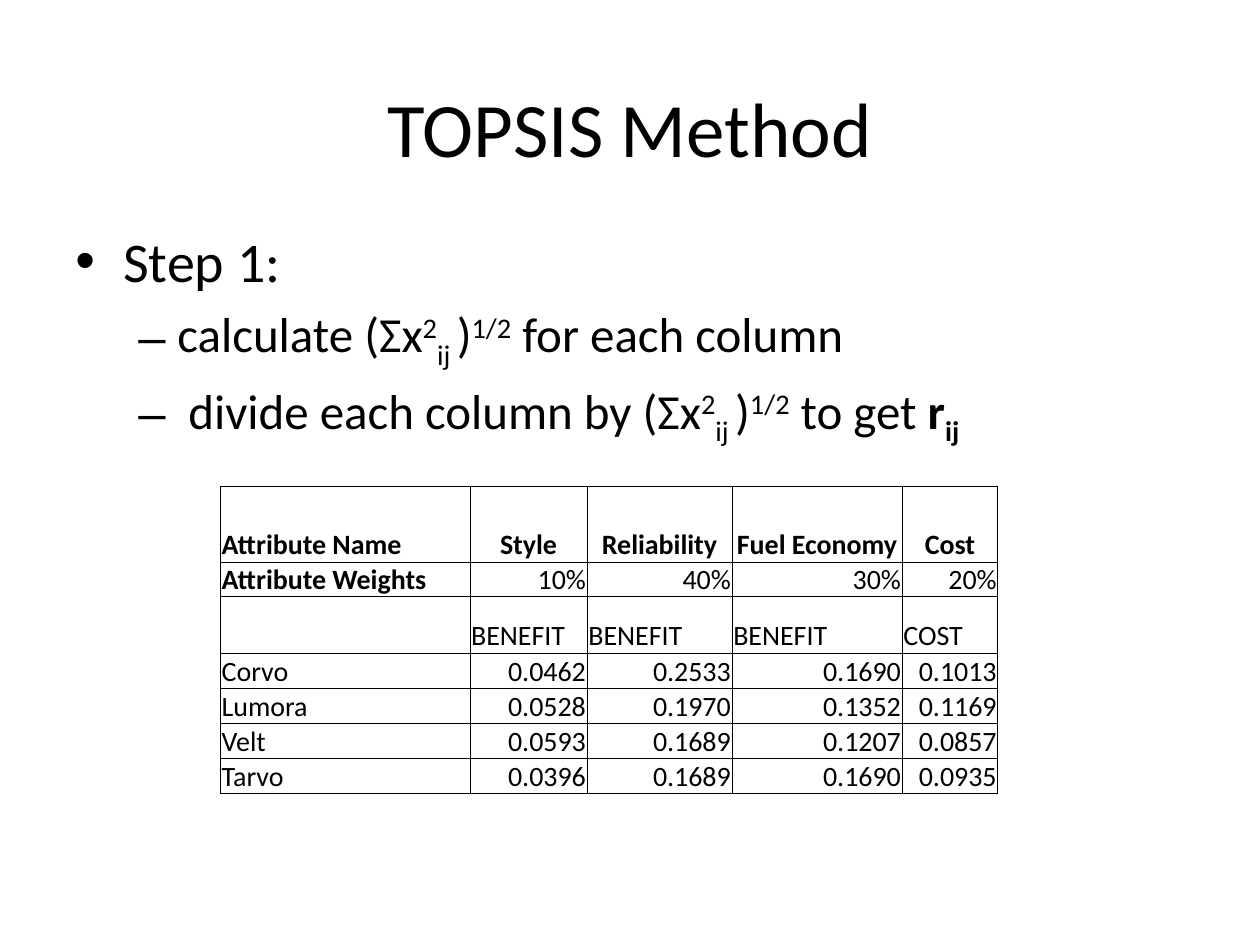
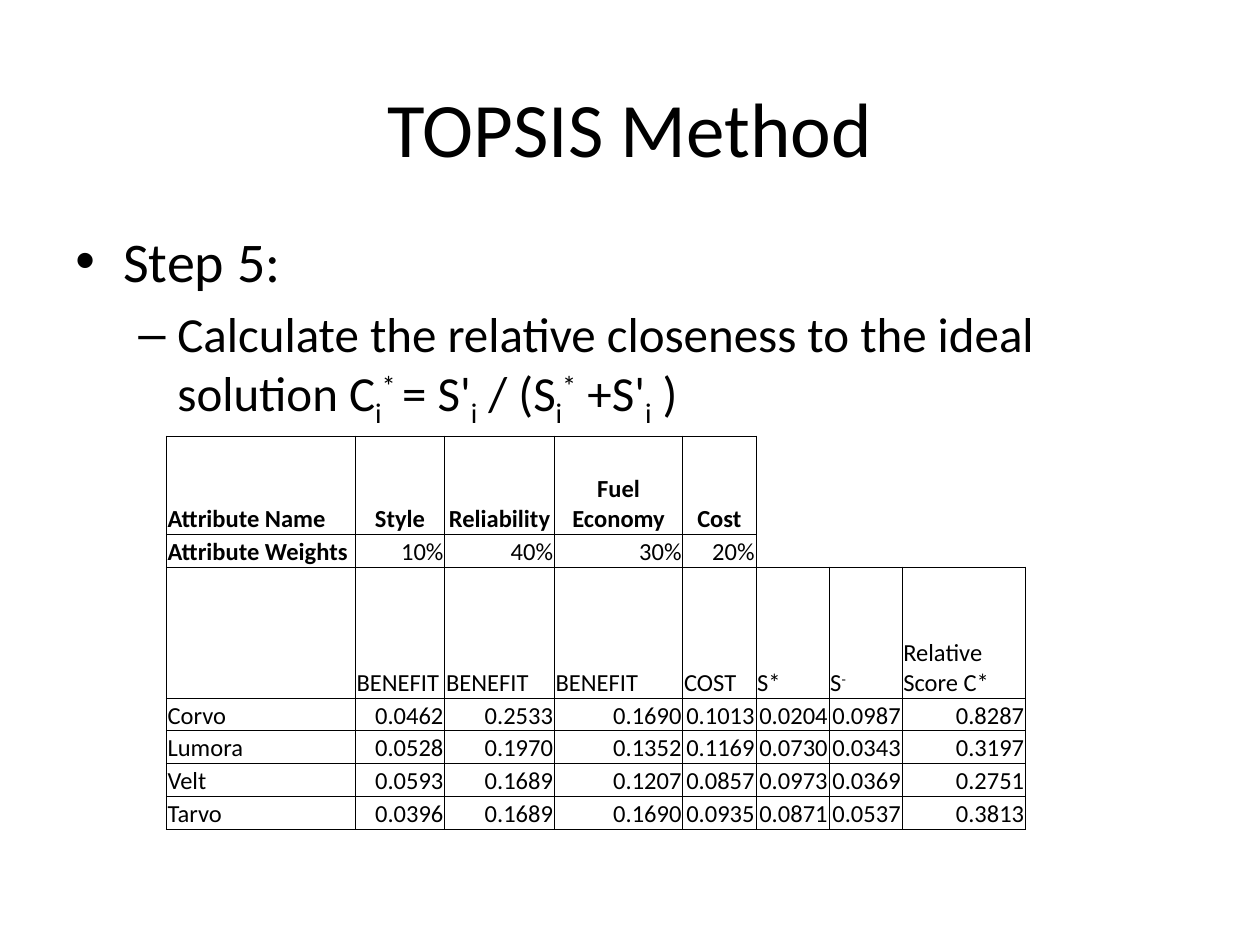
"""Builds two slides on the TOPSIS method, each with a step and its decision table."""
from lxml.etree import SubElement
from pptx import Presentation
from pptx.dml.color import RGBColor
from pptx.enum.text import MSO_ANCHOR as Anchor, PP_ALIGN as Align
from pptx.oxml.ns import qn
from pptx.util import Inches, Pt

COLORS = {"text": "000000", "border": "000000"}
FONT = "Calibri"
TITLE = "TOPSIS Method"
UP, DOWN = 30000, -25000
NO_STYLE = "{2D5ABB26-0587-4C30-8999-92F81FD0307C}"

NORM = [("2", UP), ("ij ", DOWN), (")",), ("1/2", UP)]
BULLETS = [
    {"mark": "•", "size": 32, "left": 0.38, "hang": 0.38},
    {"mark": "–", "size": 28, "left": 0.81, "hang": 0.31},
]

ATTRIBUTES = [
    ["Attribute Name", "Style", "Reliability", "Fuel Economy", "Cost"],
    ["Attribute Weights", "10%", "40%", "30%", "20%"],
    ["", "BENEFIT", "BENEFIT", "BENEFIT", "COST"],
    ["Corvo", "0.0462", "0.2533", "0.1690", "0.1013"],
    ["Lumora", "0.0528", "0.1970", "0.1352", "0.1169"],
    ["Velt", "0.0593", "0.1689", "0.1207", "0.0857"],
    ["Tarvo", "0.0396", "0.1689", "0.1690", "0.0935"],
]
SCORES = [
    [None, None, None],
    [None, None, None],
    ["S*", [("S",), ("-", UP)], "Relative Score C*"],
    ["0.0204", "0.0987", "0.8287"],
    ["0.0730", "0.0343", "0.3197"],
    ["0.0973", "0.0369", "0.2751"],
    ["0.0871", "0.0537", "0.3813"],
]

STEPS = [
    {
        "lines": [
            (0, [("Step 1:",)]),
            (1, [("calculate (Σx",), *NORM, (" for each column",)]),
            (1, [(" divide each column by (Σx",), *NORM, (" to get ",),
                 ("r", 0, True), ("ij", DOWN, True)]),
        ],
        "rows": ATTRIBUTES, "size": 16, "at": (1.75, 3.86),
        "widths": [1.98, 0.93, 1.15, 1.35, 0.76],
        "heights": [0.6, 0.23, 0.45] + [0.23] * 4,
    },
    {
        "lines": [
            (0, [("Step 5:",)]),
            (1, [("Calculate the relative closeness to the ideal solution C",),
                 ("i", DOWN), ("* ", UP), ("= S'",), ("i", DOWN), (" / (S",),
                 ("i", DOWN), ("*", UP), (" +S'",), ("i", DOWN), (" )",)]),
        ],
        "rows": [left + right for left, right in zip(ATTRIBUTES, SCORES)],
        "size": 14, "at": (1.32, 3.46),
        "widths": [1.5, 0.71, 0.87, 1.02, 0.58, 0.58, 0.58, 0.98],
        "heights": [0.78, 0.26, 1.04] + [0.26] * 4,
    },
]


def write(paragraph, parts, size, bold=False):
    """Fill a paragraph with (text, baseline, bold) parts."""
    paragraph.font.size = Pt(size)
    for text, base, strong in ((*part, 0, bold)[:3] if len(part) == 1 else (*part, bold)[:3]
                               for part in parts):
        run = paragraph.add_run()
        run.text = text
        run.font.name, run.font.size, run.font.bold = FONT, Pt(size), strong
        run.font.color.rgb = RGBColor.from_string(COLORS["text"])
        if base:
            run.font._element.set("baseline", str(base))


def add_frame(slide, top, height):
    """Add a full-width wrapping text frame."""
    frame = slide.shapes.add_textbox(
        Inches(0.5), Inches(top), Inches(9), Inches(height)).text_frame
    frame.word_wrap = True
    return frame


def add_bullet(paragraph, level):
    """Give a paragraph the indent, gap and mark of its level."""
    bullet = BULLETS[level]
    props = paragraph._p.get_or_add_pPr()
    paragraph.level = level
    props.set("marL", str(Inches(bullet["left"])))
    props.set("indent", str(-Inches(bullet["hang"])))
    SubElement(SubElement(props, qn("a:spcBef")), qn("a:spcPct")).set("val", "20000")
    SubElement(props, qn("a:buFont")).set("typeface", "Arial")
    SubElement(props, qn("a:buChar")).set("char", bullet["mark"])
    return bullet["size"]


def add_borders(cell):
    """Draw thin lines on all four sides of a cell."""
    props = cell._tc.get_or_add_tcPr()
    for side in "LRTB":
        line = SubElement(props, qn(f"a:ln{side}"), w=str(Pt(0.5)))
        fill = SubElement(line, qn("a:solidFill"))
        SubElement(fill, qn("a:srgbClr")).set("val", COLORS["border"])


def fill_cell(cell, content, row, column, size):
    """Write one cell, aligned by its kind of content."""
    cell.margin_left = cell.margin_right = cell.margin_top = Inches(0.01)
    cell.margin_bottom = 0
    cell.vertical_anchor = Anchor.BOTTOM
    parts = [(content,)] if isinstance(content, str) else content or []
    paragraph = cell.text_frame.paragraphs[0]
    write(paragraph, [part for part in parts if part[0]], size,
          bold=row == 0 or (row == 1 and column == 0))
    if row == 0 and column > 0:
        paragraph.alignment = Align.CENTER
    elif paragraph.text[:1].isdigit():
        paragraph.alignment = Align.RIGHT
    if content is not None:
        add_borders(cell)
    cell.fill.background()


def add_decision_table(slide, step):
    """Add the attribute table of a step."""
    rows, widths, heights = step["rows"], step["widths"], step["heights"]
    left, top = step["at"]
    table = slide.shapes.add_table(
        len(rows), len(widths), Inches(left), Inches(top),
        Inches(sum(widths)), Inches(sum(heights))).table
    table.first_row = table.horz_banding = False
    table._tbl.tblPr.find(qn("a:tableStyleId")).text = NO_STYLE
    for column, width in zip(table.columns, widths):
        column.width = Inches(width)
    for r, (row, height) in enumerate(zip(rows, heights)):
        table.rows[r].height = Inches(height)
        for c, content in enumerate(row):
            fill_cell(table.cell(r, c), content, r, c, step["size"])


def add_step(deck, step):
    """Add one slide: title, bulleted step and table."""
    slide = deck.slides.add_slide(deck.slide_layouts[6])
    heading = add_frame(slide, 0.38, 1.25)
    heading.vertical_anchor = Anchor.MIDDLE
    heading.paragraphs[0].alignment = Align.CENTER
    write(heading.paragraphs[0], [(TITLE,)], 44)
    body = add_frame(slide, 1.75, 4.95)
    for index, (level, parts) in enumerate(step["lines"]):
        paragraph = body.add_paragraph() if index else body.paragraphs[0]
        size = add_bullet(paragraph, level)
        write(paragraph, parts, size)
    add_decision_table(slide, step)


def main():
    """Build and save the deck."""
    deck = Presentation()
    deck.slide_width, deck.slide_height = Inches(10), Inches(7.5)
    for step in STEPS:
        add_step(deck, step)
    deck.save("out.pptx")


if __name__ == "__main__":
    main()
